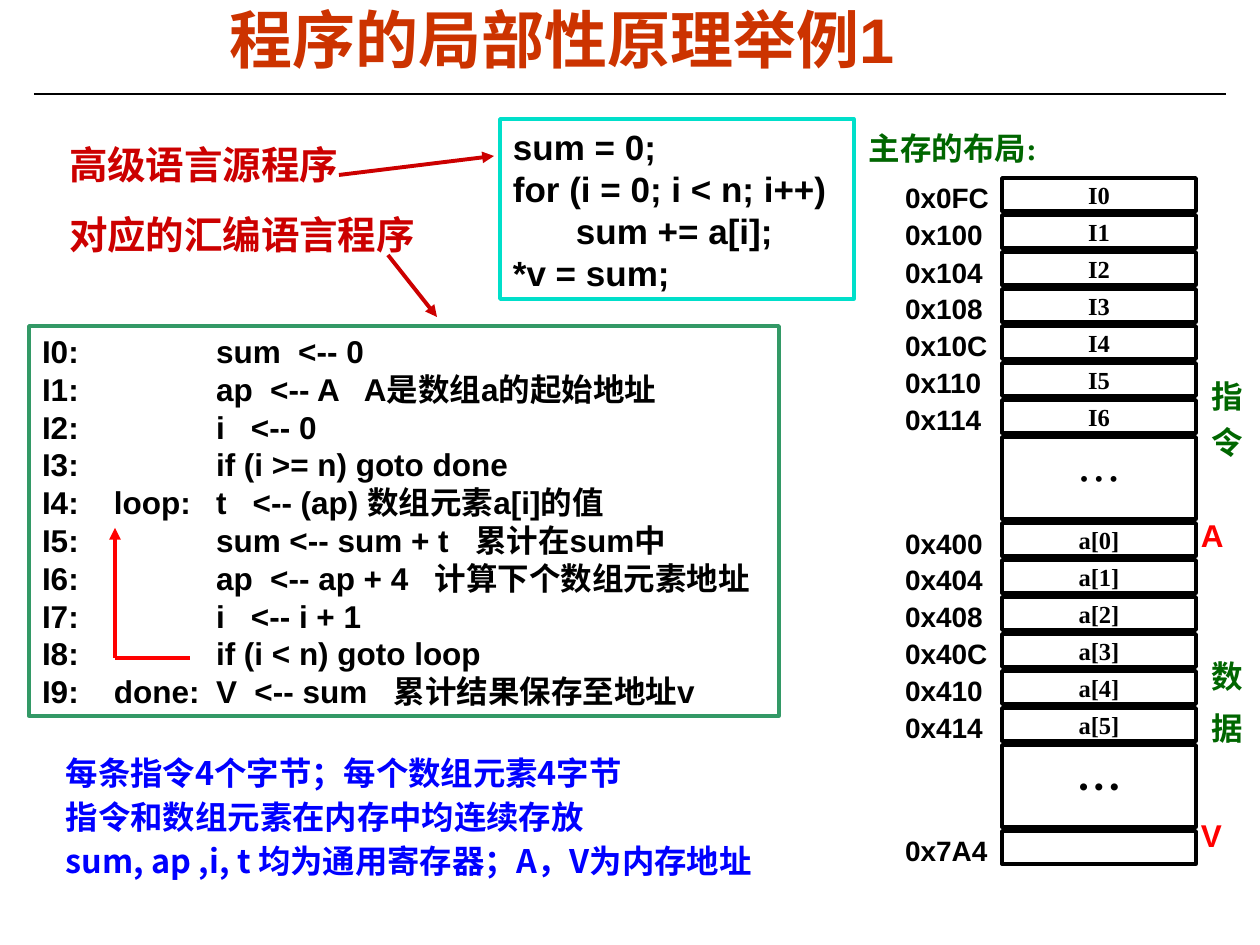
from dataclasses import dataclass
from lxml.etree import SubElement
from pptx import Presentation
from pptx.dml.color import RGBColor
from pptx.enum.shapes import MSO_CONNECTOR, MSO_SHAPE
from pptx.enum.text import MSO_ANCHOR, MSO_AUTO_SIZE, PP_ALIGN
from pptx.oxml.ns import qn
from pptx.slide import Slide
from pptx.util import Pt

EMU_PER_PX = 914400 / 126
COLORS = {
    "black": "000000", "white": "FFFFFF", "title": "CC3300", "crimson": "CC0000",
    "red": "FF0000", "blue": "0000FF", "green": "006600",
    "source_frame": "00DFCA", "assembly_frame": "339966",
}
SANS, SERIF, CJK = "Arial", "Times New Roman", "Noto Sans CJK SC"

SOURCE_CODE = ["sum = 0;", "for (i = 0; i < n; i++)", "\tsum += a[i];", "*v = sum;"]
ASSEMBLY = [
    "I0:\t\tsum  <-- 0",
    "I1:\t\tap  <-- A   A是数组a的起始地址",
    "I2:\t\ti   <-- 0",
    "I3:\t\tif (i >= n) goto done",
    "I4:\tloop:\tt   <-- (ap) 数组元素a[i]的值",
    "I5:\t\tsum <-- sum + t   累计在sum中",
    "I6:\t\tap  <-- ap + 4   计算下个数组元素地址",
    "I7:\t\ti   <-- i + 1",
    "I8:\t\tif (i < n) goto loop",
    "I9:\tdone:\tV  <-- sum   累计结果保存至地址v",
]
NOTES = [
    "每条指令4个字节；每个数组元素4字节",
    "指令和数组元素在内存中均连续存放",
    "sum, ap ,i, t 均为通用寄存器；A，V为内存地址",
]
INSTRUCTIONS = ["0x0FC", "0x100", "0x104", "0x108", "0x10C", "0x110", "0x114"]
ELEMENTS = ["0x400", "0x404", "0x408", "0x40C", "0x410", "0x414"]


def px(length):
    return round(length * EMU_PER_PX)


def rgb(name):
    return RGBColor.from_string(COLORS[name])


@dataclass
class SlideBuilder:
    page: Slide
    cjk_font: str = CJK

    def place(self, shape, left, top, width, height):
        shape.left, shape.top = px(left), px(top)
        shape.width, shape.height = px(width), px(height)

    def add_lines(self, shape, lines, size, color="black", font=SANS, bold=True,
                  align=PP_ALIGN.LEFT, anchor=MSO_ANCHOR.TOP, wrap=True, insets=(13, 6, 13, 6),
                  line_spacing=None, space_before=0, tabs=(), hanging=None):
        """Fill a shape with one paragraph per line; insets run left, top, right, bottom."""
        frame = shape.text_frame
        frame.auto_size = MSO_AUTO_SIZE.NONE
        frame.word_wrap, frame.vertical_anchor = wrap, anchor
        (frame.margin_left, frame.margin_top,
         frame.margin_right, frame.margin_bottom) = map(px, insets)
        for index, line in enumerate(lines):
            para = frame.add_paragraph() if index else frame.paragraphs[0]
            properties = para._p.get_or_add_pPr()
            if hanging:
                properties.set("marL", str(px(hanging)))
                properties.set("indent", str(-px(hanging)))
                SubElement(properties, qn("a:buNone"))
            if tabs:
                tab_list = SubElement(properties, qn("a:tabLst"))
                for stop in tabs:
                    SubElement(tab_list, qn("a:tab"), pos=str(px(stop)), algn="l")
            para.alignment = align
            para.space_before = Pt(space_before if index else 0)
            if line_spacing:
                para.line_spacing = line_spacing
            span = para.add_run()
            span.text = line
            span.font.name, span.font.size, span.font.bold = font, Pt(size), bold
            span.font.color.rgb = rgb(color)
            SubElement(span._r.get_or_add_rPr(), qn("a:ea"), typeface=self.cjk_font)

    def placeholder(self, index, bounds, lines, size, **style):
        shape = self.page.placeholders[index]
        self.place(shape, *bounds)
        self.add_lines(shape, lines, size, **style)

    def label(self, bounds, lines, size, **style):
        box = self.page.shapes.add_textbox(*map(px, bounds))
        self.add_lines(box, lines, size, **style)
        return box

    def frame(self, bounds, lines, size, line="black", filled=True, **style):
        box = self.page.shapes.add_shape(MSO_SHAPE.RECTANGLE, *map(px, bounds))
        box.shadow.inherit = False
        if filled:
            box.fill.solid()
            box.fill.fore_color.rgb = rgb("white")
        else:
            box.fill.background()
        box.line.color.rgb = rgb(line)
        box.line.width = Pt(2)
        if lines:
            self.add_lines(box, lines, size, **style)

    def line(self, start, end, color, width=2.25, arrow=False):
        connector = self.page.shapes.add_connector(
            MSO_CONNECTOR.STRAIGHT, *map(px, (*start, *end)))
        connector.line.color.rgb = rgb(color)
        connector.line.width = Pt(width)
        properties = connector._element.spPr
        if arrow:
            SubElement(properties.find(qn("a:ln")), qn("a:tailEnd"), type="triangle")
        SubElement(properties, qn("a:effectLst"))

    def memory_cell(self, top, height, text="", address="", size=14, font=SERIF, bold=True):
        """Draw one memory cell with its address and return the top of the next."""
        self.frame((1002, top, 194, height), [text] if text else [], size, font=font, bold=bold,
                   align=PP_ALIGN.CENTER, anchor=MSO_ANCHOR.MIDDLE, wrap=False)
        if address:
            self.label((892, top - 3, 107, 45), [address], 16, wrap=False)
        return top + height + 4


def draw_memory(builder):
    cell, gap = 33, 82
    builder.label((856, 123, 200, 50), ["主存的布局:"], 18, color="green", font=SERIF, wrap=False)
    top = 178
    for index, address in enumerate(INSTRUCTIONS):
        top = builder.memory_cell(top, cell, f"I{index}", address)
    top = builder.memory_cell(top, gap, "• • •", bold=False)
    for index, address in enumerate(ELEMENTS):
        top = builder.memory_cell(top, cell, f"a[{index}]", address)
    top = builder.memory_cell(top, gap, "• • •", font=SANS)
    builder.memory_cell(top, cell, address="0x7A4")

    regions = builder.label((1188, 270, 63, 587), ["指\t令\t数\t据"], 18, color="green",
                            insets=(6, 111, 6, 13), tabs=(46, 280, 332))
    regions.text_frame._txBody.bodyPr.set("vert", "eaVert")
    for name, top in (("A", 510), ("V", 810)):
        builder.label((1188, top, 64, 50), [name], 18, color="red")


def main():
    deck = Presentation()
    deck.slide_width, deck.slide_height = px(1260), px(945)
    builder = SlideBuilder(deck.slides.add_slide(deck.slide_layouts[1]))

    builder.line((34, 94), (1226, 94), "black", width=1.5)
    builder.placeholder(0, (94, 5, 936, 78), ["程序的局部性原理举例1"], 36, color="title",
                        align=PP_ALIGN.CENTER, anchor=MSO_ANCHOR.MIDDLE, line_spacing=0.87)
    builder.frame((500, 119, 354, 180), SOURCE_CODE, 20, line="source_frame", tabs=(63,))
    builder.placeholder(1, (53, 752, 794, 154), NOTES, 18.5, color="blue", font=CJK,
                        line_spacing=0.9, space_before=5, hanging=32)
    builder.frame((29, 326, 750, 390), ASSEMBLY, 18, line="assembly_frame", filled=False,
                  tabs=(72, 174))
    draw_memory(builder)

    builder.label((69, 141, 383, 116), ["高级语言源程序", "对应的汇编语言程序"], 22,
                  color="crimson", insets=(0, 0, 0, 0), space_before=13.8)
    builder.line((339, 175), (494, 156), "crimson", arrow=True)
    builder.line((388, 255), (437, 317), "crimson", arrow=True)
    builder.line((190, 658), (115, 658), "red")
    builder.line((115, 658), (115, 528), "red", arrow=True)
    deck.save("out.pptx")


if __name__ == "__main__":
    main()
